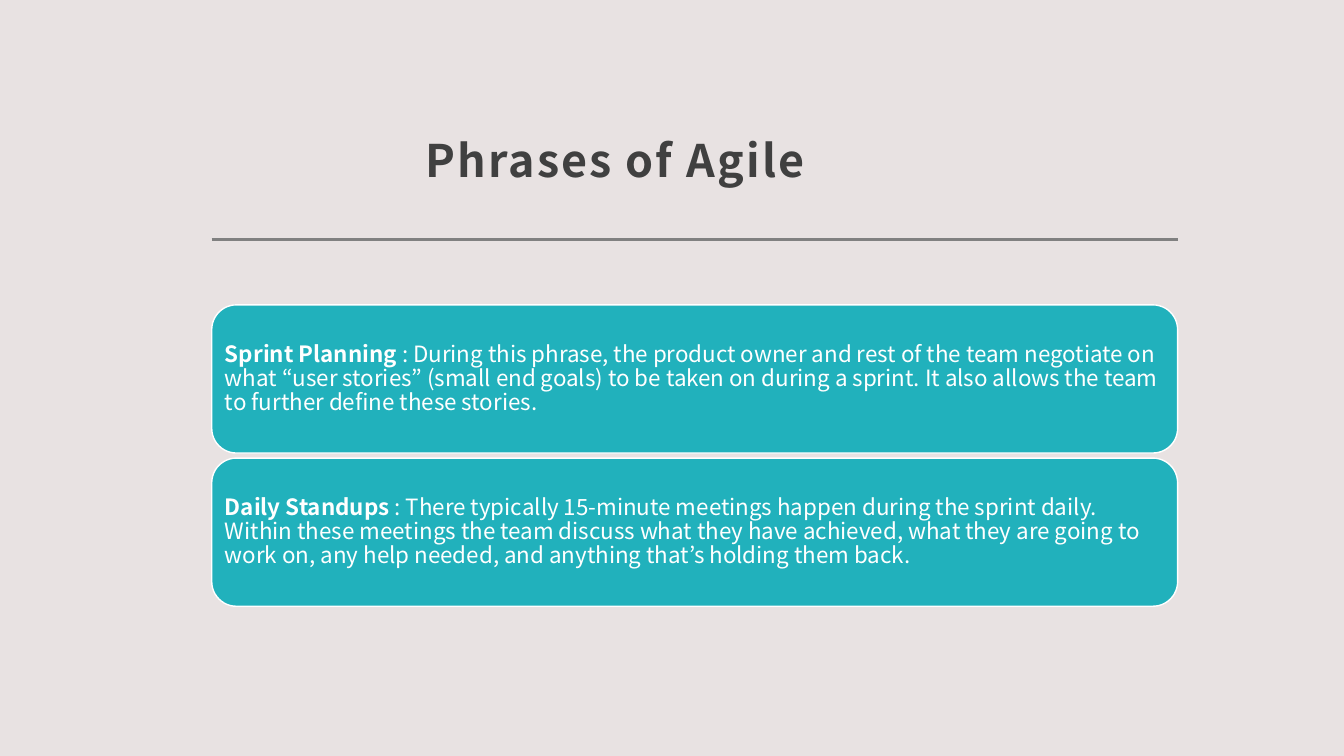
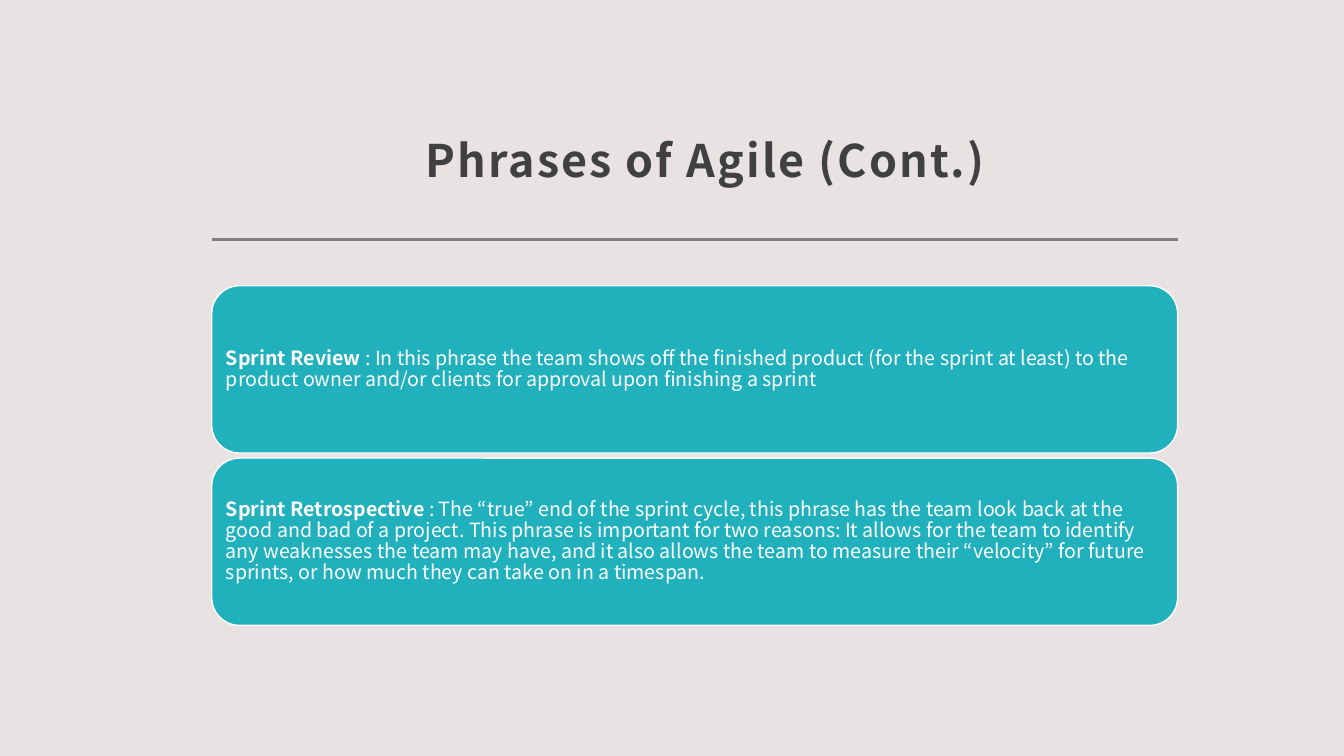
from pptx import Presentation
from pptx.dml.color import RGBColor
from pptx.enum.shapes import MSO_CONNECTOR, MSO_SHAPE
from pptx.enum.text import MSO_ANCHOR, PP_ALIGN
from pptx.oxml.ns import qn
from pptx.util import Inches, Pt
from lxml.etree import SubElement

SLIDES = [
    {
        "title": "Phrases of Agile",
        "card_height": 1.47,
        "text_size": 16,
        "cards": [
            ("Sprint Planning ",
             ": During this phrase, the product owner and rest of the team negotiate on "
             "what “user stories” (small end goals) to be taken on during a sprint. "
             "It also allows the team to further define these stories."),
            ("Daily Standups ",
             ": There typically 15-minute meetings happen during the sprint daily. "
             "Within these meetings the team discuss what they have achieved, what they "
             "are going to work on, any help needed, and anything that’s holding them back."),
        ],
    },
    {
        "title": "Phrases of Agile (Cont.)",
        "card_height": 1.66,
        "text_size": 14,
        "cards": [
            ("Sprint Review ",
             ": In this phrase the team shows off the finished product (for the sprint "
             "at least) to the product owner and/or clients for approval upon finishing a sprint"),
            ("Sprint Retrospective ",
             ": The “true” end of the sprint cycle, this phrase has the team look back at "
             "the good and bad of a project. This phrase is important for two reasons: It "
             "allows for the team to identify any weaknesses the team may have, and it also "
             "allows the team to measure their “velocity” for future sprints, or how much "
             "they can take on in a timespan."),
        ],
    },
]

BACKGROUND = RGBColor(0xE8, 0xE2, 0xE2)
TITLE_COLOR = RGBColor(0x40, 0x40, 0x40)
RULE_COLOR = RGBColor(0x80, 0x80, 0x80)
CARD_COLOR = RGBColor(0x21, 0xB1, 0xBC)
WHITE = RGBColor(0xFF, 0xFF, 0xFF)
FONT = "Noto Sans CJK JP"

SLIDE_WIDTH, SLIDE_HEIGHT = 13.33, 7.5
LEFT, WIDTH = 2.1, 9.58
TITLE_TOP, TITLE_HEIGHT, TITLE_INDENT = 0.48, 1.47, 2
RULE_TOP = 2.38
CARDS_MIDDLE, CARD_GAP, CARD_INSET = 4.52, 0.05, 0.06


def write_text(shape, runs, *, size, color, margins, anchor,
               line_spacing, space_after=0, tracking=0):
    """Fill shape with one paragraph of (text, bold) runs; margins are left, top, right, bottom."""
    frame = shape.text_frame
    frame.word_wrap = True
    frame.vertical_anchor = anchor
    (frame.margin_left, frame.margin_top,
     frame.margin_right, frame.margin_bottom) = map(Inches, margins)
    paragraph = frame.paragraphs[0]
    paragraph.alignment = PP_ALIGN.LEFT
    paragraph.line_spacing = line_spacing
    paragraph.space_after = Pt(space_after)
    for text, bold in runs:
        run = paragraph.add_run()
        run.text = text
        font = run.font
        font.name, font.size, font.bold = FONT, Pt(size), bold
        font.color.rgb = color
        if tracking:
            run._r.get_or_add_rPr().set("spc", str(int(tracking * 100)))


def add_title(slide, title):
    box = slide.shapes.add_textbox(
        Inches(LEFT), Inches(TITLE_TOP), Inches(WIDTH), Inches(TITLE_HEIGHT))
    write_text(box, [(title, True)], size=32, color=TITLE_COLOR,
               margins=(0.12 + TITLE_INDENT, 0.12, 0.12, 0.1),
               anchor=MSO_ANCHOR.BOTTOM, line_spacing=1.3, tracking=1.5)


def add_rule(slide):
    rule = slide.shapes.add_connector(
        MSO_CONNECTOR.STRAIGHT, Inches(LEFT), Inches(RULE_TOP),
        Inches(LEFT + WIDTH), Inches(RULE_TOP))
    rule.line.color.rgb = RULE_COLOR
    rule.line.width = Pt(2)
    SubElement(rule._element.spPr, qn("a:effectLst"))


def add_cards(slide, cards, height, text_size):
    """Stack equal cards around a common middle line."""
    step = height + CARD_GAP
    first_top = CARDS_MIDDLE - (len(cards) * step - CARD_GAP) / 2
    for index, (term, meaning) in enumerate(cards):
        card = slide.shapes.add_shape(
            MSO_SHAPE.ROUNDED_RECTANGLE, Inches(LEFT),
            Inches(first_top + index * step), Inches(WIDTH), Inches(height))
        card.shadow.inherit = False
        card.fill.solid()
        card.fill.fore_color.rgb = CARD_COLOR
        card.line.color.rgb = WHITE
        card.line.width = Pt(1)
        write_text(card, [(term, True), (meaning, False)], size=text_size,
                   color=WHITE, margins=[CARD_INSET] * 4, anchor=MSO_ANCHOR.MIDDLE,
                   line_spacing=0.9, space_after=0.35 * text_size)


def main():
    presentation = Presentation()
    presentation.slide_width = Inches(SLIDE_WIDTH)
    presentation.slide_height = Inches(SLIDE_HEIGHT)
    background = presentation.slide_master.background.fill
    background.solid()
    background.fore_color.rgb = BACKGROUND
    blank_layout = presentation.slide_layouts[6]
    for content in SLIDES:
        slide = presentation.slides.add_slide(blank_layout)
        add_rule(slide)
        add_title(slide, content["title"])
        add_cards(slide, content["cards"], content["card_height"], content["text_size"])
    presentation.save("out.pptx")


if __name__ == "__main__":
    main()
